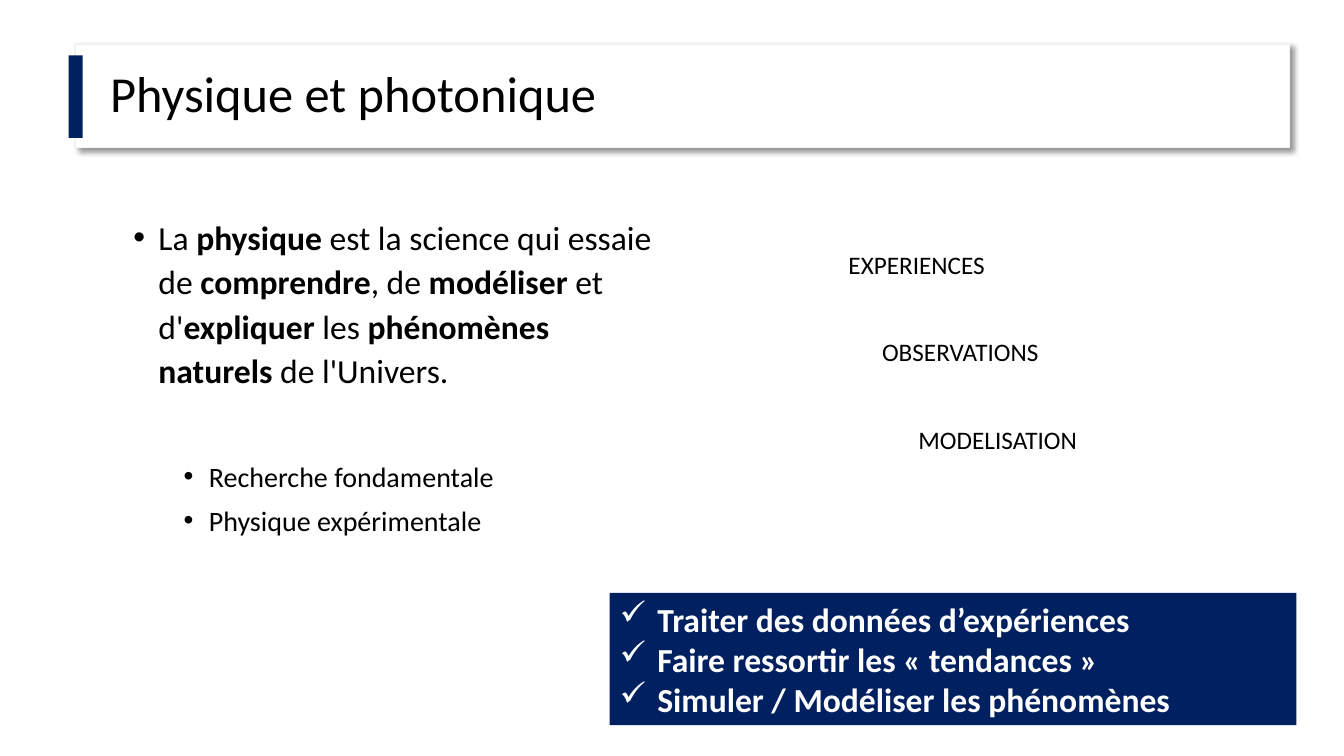
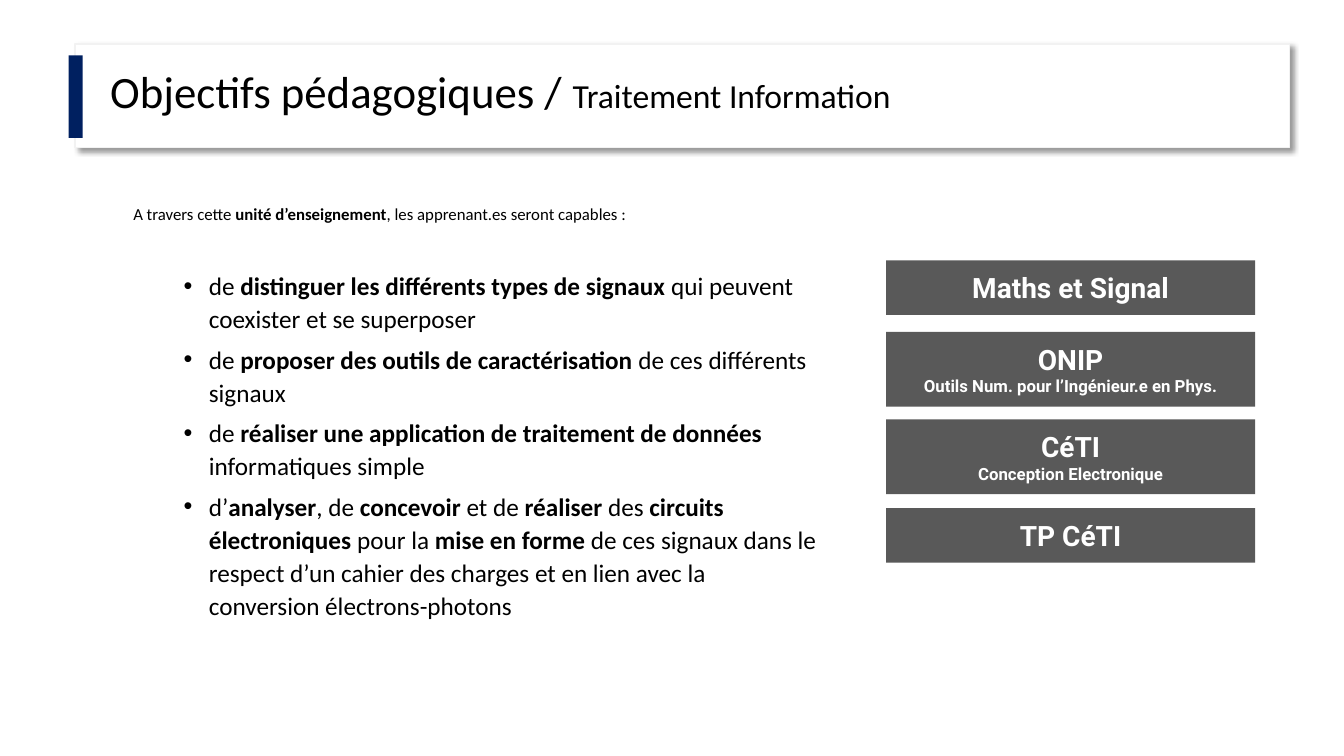
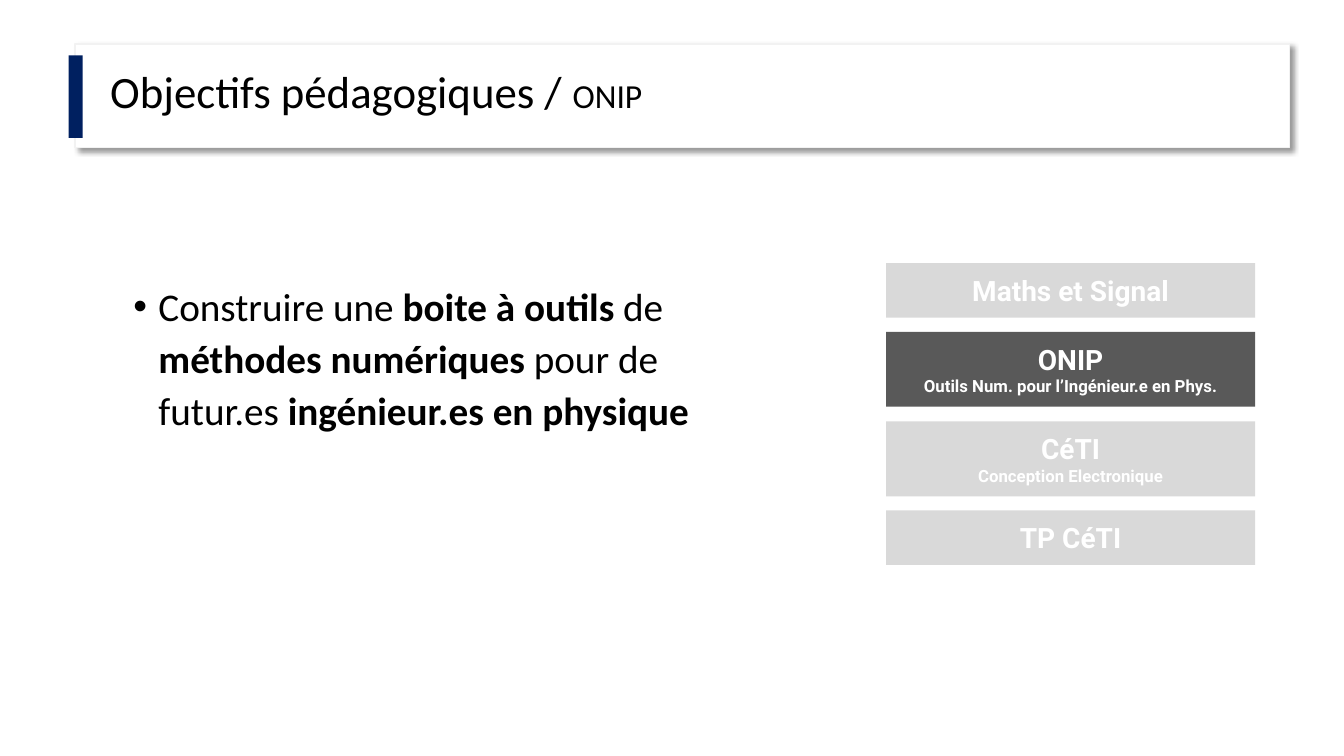
"""Build three course slides on physics and teaching objectives."""
from lxml import etree
from pptx import Presentation
from pptx.dml.color import RGBColor
from pptx.enum import shapes as kinds, text as txt
from pptx.oxml.ns import qn
from pptx.util import Pt

NAVY, DARK, PALE = "002060", "595959", "D9D9D9"
WHITE, BLACK, EDGE = "FFFFFF", "000000", "F2F2F2"

MODULES = [
    ("Maths et Signal", None),
    ("ONIP", "Outils Num. pour l’Ingénieur.e en Phys."),
    ("CéTI", "Conception Electronique"),
    ("TP CéTI", None),
]
STEPS = [("EXPERIENCES", 599, 132), ("OBSERVATIONS", 623, 150), ("MODELISATION", 649, 150)]
TASKS = [
    "Traiter des données d’expériences",
    "Faire ressortir les « tendances »",
    "Simuler / Modéliser les phénomènes",
]

# Body lines are (words with *bold* parts, size, left margin, bullet, space before).
SLIDES = [
    {
        "title": [("Physique et photonique", 36)],
        "body_at": (88, 148.5, 389, 291),
        "body": [
            ("La *physique* est la science qui essaie de *comprendre*, de *modéliser* et "
             "d'*expliquer* les *phénomènes naturels *de l'Univers.", 24, 18, "•", 10),
            ("Recherche fondamentale", 20, 54, "•", 47),
            ("Physique expérimentale", 20, 54, "•", 5),
        ],
    },
    {
        "title": [("Objectifs pédagogiques / ", 32), ("Traitement Information", 24)],
        "body_at": (88, 140.5, 505, 291),
        "body": [
            ("A travers cette *unité d’enseignement*, les apprenant.es seront capables :",
             12, 0, None, 10),
            ("de *distinguer les différents types de signaux* qui peuvent coexister "
             "et se superposer", 18, 54, "•", 31),
            ("de *proposer des outils de caractérisation* de ces différents signaux",
             18, 54, "•", 5),
            ("de *réaliser une application de traitement de données *informatiques simple",
             18, 54, "•", 5),
            ("d’*analyser*, de *concevoir* et de *réaliser* des *circuits électroniques* "
             "pour la *mise en forme *de ces signaux dans le respect d’un cahier des charges "
             "et en lien avec la conversion électrons-photons", 18, 54, "•", 5),
        ],
        "module_tops": (186, 237, 299.5, 363),
        "active": {"Maths et Signal", "ONIP", "CéTI", "TP CéTI"},
    },
    {
        "title": [("Objectifs pédagogiques / ", 32), ("ONIP", 24)],
        "body_at": (88, 195, 420, 291),
        "body": [
            ("Construire une *boite à outils *de *méthodes numériques *pour de futur.es "
             "*ingénieur.es en physique*", 28, 18, "•", 10),
        ],
        "module_tops": (188, 237, 301, 364.5),
        "active": {"ONIP"},
    },
]


def rgb(code):
    """Turn a hex string into a colour."""
    return RGBColor.from_string(code)


def place(part, left, top, width, height):
    """Move and size a shape, in points."""
    part.left, part.top, part.width, part.height = map(Pt, (left, top, width, height))


def style(font, size, color=BLACK, name="Calibri", bold=None):
    """Set the look of a font."""
    font.size, font.name, font.bold = Pt(size), name, bold
    font.color.rgb = rgb(color)


def bullet(paragraph, mark, margin, color=BLACK):
    """Give a paragraph a hanging bullet, or none."""
    props = paragraph._p.get_or_add_pPr()
    props.set("marL", str(Pt(margin)))
    props.set("indent", str(-Pt(18 if margin != 27 else 27) if mark else 0))
    if not mark:
        etree.SubElement(props, qn("a:buNone"))
        return
    tint = etree.SubElement(props, qn("a:buClr"))
    etree.SubElement(tint, qn("a:srgbClr"), val=color)
    if mark == "•":
        etree.SubElement(props, qn("a:buFont"), typeface="Arial")
    etree.SubElement(props, qn("a:buChar"), char=mark)


def lines(frame, count):
    """Return the given number of paragraphs of a text frame."""
    return [frame.paragraphs[0]] + [frame.add_paragraph() for _ in range(count - 1)]


def block(slide, fill, *box):
    """Add a plain filled rectangle."""
    rect = slide.shapes.add_shape(kinds.MSO_SHAPE.RECTANGLE, *map(Pt, box))
    rect.shadow.inherit = False
    rect.fill.solid()
    rect.fill.fore_color.rgb = rgb(fill)
    rect.line.fill.background()
    return rect


def add_heading(slide, parts):
    """Draw the shadowed title band, its accent and the title."""
    band = block(slide, WHITE, 53.5, 31.5, 867.5, 74)
    band.line.color.rgb = rgb(EDGE)
    band.line.width = Pt(1)
    effects = band._element.spPr.find(qn("a:effectLst"))
    shadow = etree.SubElement(effects, qn("a:outerShdw"), blurRad=str(Pt(4)),
                              dist=str(Pt(3)), dir="2700000", algn="tl", rotWithShape="0")
    tint = etree.SubElement(shadow, qn("a:srgbClr"), val=BLACK)
    etree.SubElement(tint, qn("a:alpha"), val="40000")
    slide.shapes._spTree.insert(2, band._element)
    block(slide, NAVY, 49, 39.5, 10, 59)

    title = slide.shapes.title
    place(title, 71.5, 46, 706, 55.5)
    frame = title.text_frame
    frame.auto_size = txt.MSO_AUTO_SIZE.NONE
    frame.vertical_anchor = txt.MSO_ANCHOR.TOP
    paragraph = frame.paragraphs[0]
    paragraph.alignment = txt.PP_ALIGN.LEFT
    paragraph.line_spacing = 0.9
    for words, size in parts:
        run = paragraph.add_run()
        run.text = words
        style(run.font, size)


def add_body(slide, box, content):
    """Fill the body placeholder with bulleted lines."""
    body = slide.placeholders[1]
    place(body, *box)
    frame = body.text_frame
    frame.auto_size = txt.MSO_AUTO_SIZE.NONE
    for paragraph, line in zip(lines(frame, len(content)), content):
        words, size, margin, mark, before = line
        paragraph.level = int(margin == 54)
        paragraph.line_spacing = 1.1
        paragraph.space_before = Pt(before)
        bullet(paragraph, mark, margin)
        style(paragraph.font, size)
        for index, part in enumerate(words.split("*")):
            if part:
                run = paragraph.add_run()
                run.text = part
                if index % 2:
                    run.font.bold = True


def add_steps(slide):
    """Place the three steps as a descending staircase."""
    for row, (word, left, width) in enumerate(STEPS):
        label = slide.shapes.add_textbox(Pt(left), Pt(174.2 + 62.65 * row), Pt(width), Pt(29))
        label.text_frame.word_wrap = True
        paragraph = label.text_frame.paragraphs[0]
        paragraph.text = word
        style(paragraph.font, 18)


def add_tasks(slide):
    """Draw the navy checklist."""
    checklist = block(slide, NAVY, 435.5, 423.5, 490.5, 94.5)
    for paragraph, task in zip(lines(checklist.text_frame, len(TASKS)), TASKS):
        paragraph.text = task
        paragraph.alignment = txt.PP_ALIGN.LEFT
        bullet(paragraph, "✓", 27, WHITE)
        style(paragraph.font, 24, WHITE, bold=True)


def add_modules(slide, tops, active):
    """Stack the module cards, with inactive ones pale."""
    for top, (name, detail) in zip(tops, MODULES):
        card = block(slide, DARK if name in active else PALE,
                     633, top, 263.5, 53.5 if detail else 39)
        frame = card.text_frame
        frame.margin_top = frame.margin_bottom = Pt(7.2)
        labels = [(name, 20)] + ([(detail, 12)] if detail else [])
        for paragraph, (words, size) in zip(lines(frame, len(labels)), labels):
            paragraph.text = words
            paragraph.alignment = txt.PP_ALIGN.CENTER
            style(paragraph.font, size, WHITE, "Roboto", True)


def main():
    """Build and save the slides."""
    deck = Presentation()
    deck.slide_width, deck.slide_height = Pt(960), Pt(540)
    for content in SLIDES:
        slide = deck.slides.add_slide(deck.slide_layouts[1])
        add_heading(slide, content["title"])
        add_body(slide, content["body_at"], content["body"])
        if "active" in content:
            add_modules(slide, content["module_tops"], content["active"])
        else:
            add_steps(slide)
            add_tasks(slide)
    deck.save("out.pptx")


if __name__ == "__main__":
    main()
